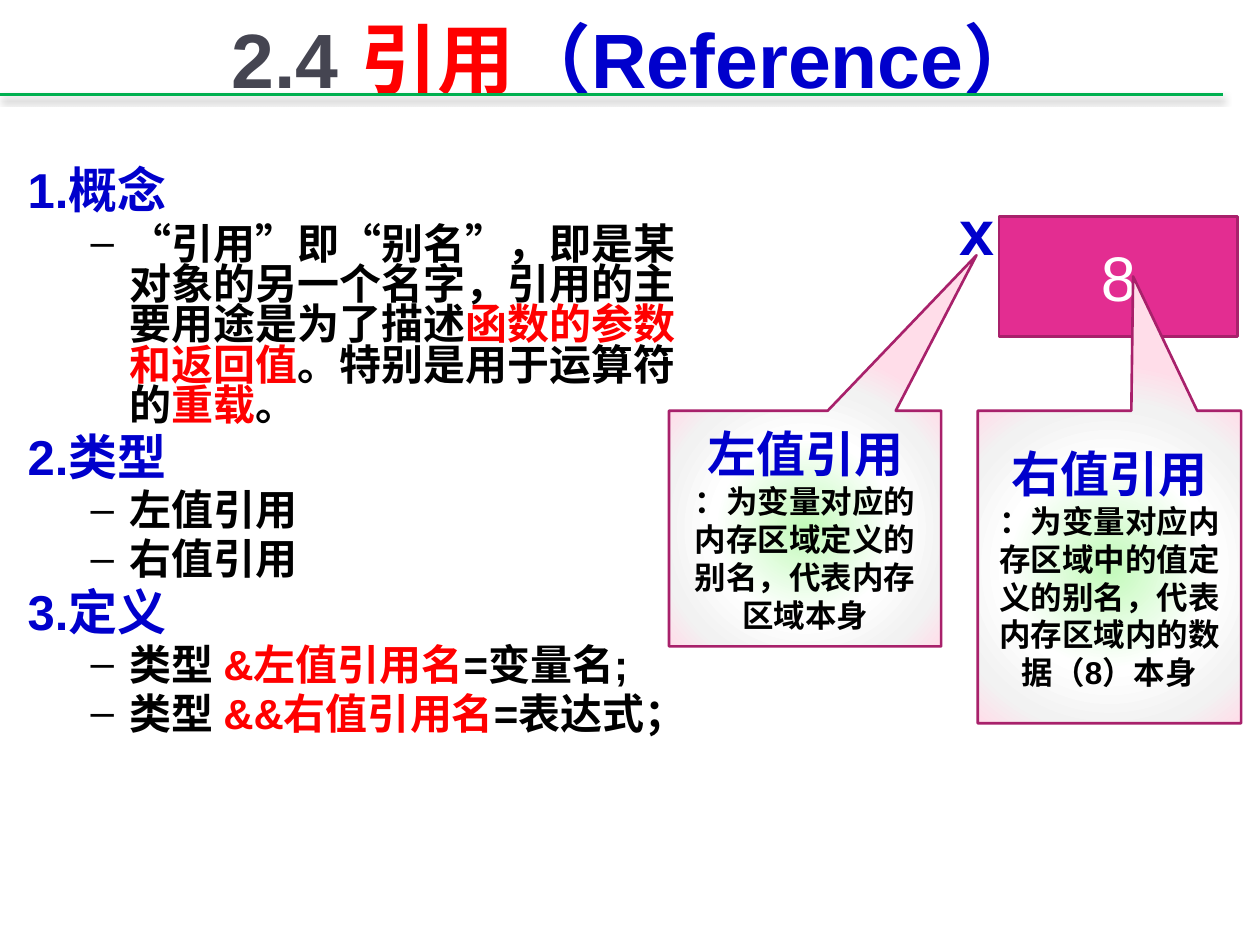
import pptx
import pptx.util
import pptx.oxml
import pptx.oxml.ns
import pptx.dml.color
import pptx.enum.shapes
import pptx.enum.text

Inches = pptx.util.Inches
Pt = pptx.util.Pt
ALIGN = pptx.enum.text.PP_ALIGN
ANCHOR = pptx.enum.text.MSO_ANCHOR
SHAPES = pptx.enum.shapes.MSO_SHAPE
NAMESPACE = pptx.oxml.ns.nsdecls("a")

BLUE, RED, BLACK, WHITE = "0000CC", "FF0000", "000000", "FFFFFF"
GREY, GREEN, PINK, PLUM = "454551", "00B050", "E32D91", "A8216B"

TITLE = [("2.4 ", GREY), ("引用", RED), ("（Reference）", BLUE)]
OUTLINE = [
    ("1.概念", [
        [("“引用”即“别名”，即是某对象的另一个名字，引用的主要用途是为了描述", BLACK),
         ("函数的参数和返回值", RED), ("。特别是用于运算符的", BLACK),
         ("重载", RED), ("。", BLACK)],
    ]),
    ("2.类型", [[("左值引用", BLACK)], [("右值引用", BLACK)]]),
    ("3.定义", [
        [("类型 ", BLACK), ("&左值引用名", RED), ("=变量名;", BLACK)],
        [("类型 ", BLACK), ("&&右值引用名", RED), ("=表达式；", BLACK)],
    ]),
]
CALLOUTS = [
    {"box": (5.31, 3.26, 2.16, 1.87), "tip": (0.63, -1.16), "heading": "左值引用",
     "body": "：为变量对应的内存区域定义的别名，代表内存区域本身"},
    {"box": (7.76, 3.26, 2.09, 2.48), "tip": (0.09, -0.93), "heading": "右值引用",
     "body": "：为变量对应内存区域中的值定义的别名，代表内存区域内的数据（8）本身"},
]
GRADIENT = [(0, "C2FABA"), (50, "FFFFFF"), (80, "F2F2F2"), (100, "FFDDE9")]


def color(value):
    return pptx.dml.color.RGBColor.from_string(value)


def place(shape, box):
    for name, value in zip(("left", "top", "width", "height"), box):
        setattr(shape, name, Inches(value))


def write(paragraph, runs, size, bold=True, **formats):
    for name, value in formats.items():
        setattr(paragraph, name, value)
    for text, run_color in runs:
        run = paragraph.add_run()
        run.text = text
        for name, value in {"name": "Arial", "size": Pt(size), "bold": bold}.items():
            setattr(run.font, name, value)
        run.font.color.rgb = color(run_color)


def frame(shape, anchor, wrap=True):
    text_frame = shape.text_frame
    formats = {"word_wrap": wrap, "vertical_anchor": anchor,
               "auto_size": pptx.enum.text.MSO_AUTO_SIZE.NONE}
    for name, value in formats.items():
        setattr(text_frame, name, value)
    return text_frame


def add_box(slide, kind, box):
    shape = slide.shapes.add_shape(kind, *map(Inches, box))
    shape.shadow.inherit = False
    shape.line.color.rgb = color(PLUM)
    shape.line.width = Pt(1.5)
    return shape


def set_bullet(paragraph, indent, hanging, bullet):
    properties = paragraph._p.get_or_add_pPr()
    properties.set("marL", str(Inches(indent)))
    properties.set("indent", str(-Inches(hanging)))
    tag = f'a:buChar {NAMESPACE} char="{bullet}"' if bullet else f"a:buNone {NAMESPACE}"
    properties.append(pptx.oxml.parse_xml(f"<{tag}/>"))


def fill_gradient(shape):
    stops = "".join(f'<a:gs pos="{position * 1000}"><a:srgbClr val="{value}"/></a:gs>'
                    for position, value in GRADIENT)
    center = " ".join(f'{side}="50000"' for side in "ltrb")
    shape.element.spPr.insert(2, pptx.oxml.parse_xml(
        f'<a:gradFill {NAMESPACE}><a:gsLst>{stops}</a:gsLst>'
        f'<a:path path="circle"><a:fillToRect {center}/></a:path></a:gradFill>'))


def add_rule(slide):
    rule = slide.shapes.add_connector(
        pptx.enum.shapes.MSO_CONNECTOR.STRAIGHT, 0, Inches(0.75), Inches(9.71), Inches(0.75))
    rule.line.color.rgb = color(GREEN)
    rule.line.width = Pt(1.25)
    rule.element.spPr.append(pptx.oxml.parse_xml(
        f'<a:effectLst {NAMESPACE}><a:outerShdw blurRad="{Pt(4)}" dist="{Pt(2.5)}" '
        'dir="5400000" rotWithShape="0"><a:srgbClr val="000000">'
        '<a:alpha val="47000"/></a:srgbClr></a:outerShdw></a:effectLst>'))


def add_outline(body):
    text_frame = frame(body, ANCHOR.TOP)
    rows = []
    for heading, items in OUTLINE:
        rows.append((0, [(heading, BLUE)]))
        rows.extend((1, item) for item in items)
    styles = [(28, 0.38, 0.38, None), (24, 0.81, 0.31, "–")]
    for index, (level, runs) in enumerate(rows):
        paragraph = text_frame.add_paragraph() if index else text_frame.paragraphs[0]
        size, indent, hanging, bullet = styles[level]
        write(paragraph, runs, size, level=level, line_spacing=0.8,
              space_before=Pt(size * 0.2))
        set_bullet(paragraph, indent, hanging, bullet)


def main():
    presentation = pptx.Presentation()
    presentation.slide_width, presentation.slide_height = Inches(10), Inches(7.5)
    slide = presentation.slides.add_slide(presentation.slide_layouts[1])
    title, body = slide.placeholders
    add_rule(slide)

    place(title, (0.8, 0, 8.5, 0.91))
    write(frame(title, ANCHOR.MIDDLE).paragraphs[0], TITLE, 44, alignment=ALIGN.CENTER)
    place(body, (0.12, 1.31, 5.59, 5))
    add_outline(body)

    memory = add_box(slide, SHAPES.RECTANGLE, (7.93, 1.72, 1.89, 0.95))
    memory.fill.solid()
    memory.fill.fore_color.rgb = color(PINK)
    write(frame(memory, ANCHOR.MIDDLE).paragraphs[0], [("8", WHITE)], 36, False,
          alignment=ALIGN.CENTER)

    variable = slide.shapes.add_textbox(*map(Inches, (7.52, 1.48, 0.35, 0.71)))
    write(frame(variable, ANCHOR.TOP, False).paragraphs[0], [("x", BLUE)], 36)

    for callout in CALLOUTS:
        shape = add_box(slide, SHAPES.RECTANGULAR_CALLOUT, callout["box"])
        shape.adjustments[0], shape.adjustments[1] = callout["tip"]
        fill_gradient(shape)
        text_frame = frame(shape, ANCHOR.MIDDLE)
        write(text_frame.paragraphs[0], [(callout["heading"], BLUE)], 28,
              alignment=ALIGN.CENTER)
        write(text_frame.add_paragraph(), [(callout["body"], BLACK)], 18,
              alignment=ALIGN.CENTER)

    presentation.save("out.pptx")


if __name__ == "__main__":
    main()
